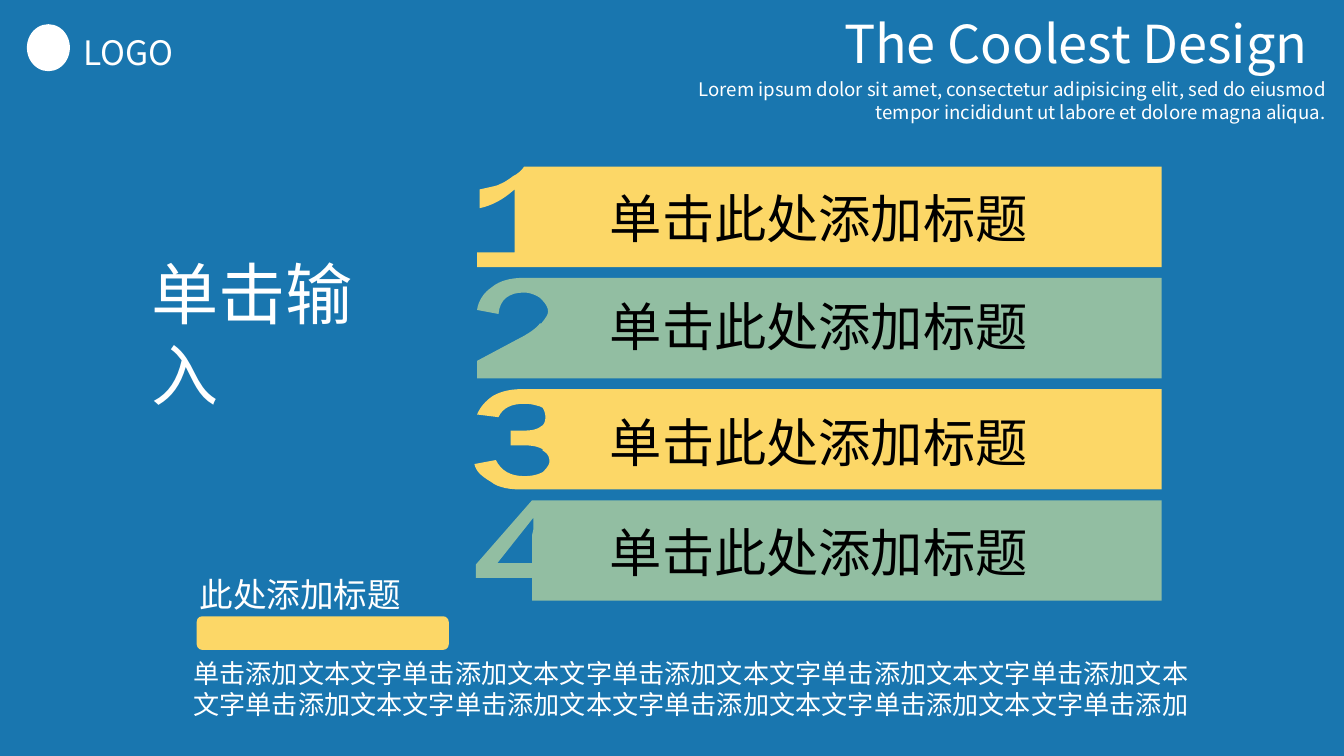
from lxml import etree
from pptx import Presentation
from pptx import util as u
from pptx.dml.color import RGBColor
from pptx.enum import shapes, text
from pptx.oxml.ns import qn

WIDTH = 10
HEIGHT = WIDTH * 9 / 16
FONT = "Noto Sans CJK SC"
COLORS = {"background": "1976AF", "yellow": "FCD767", "green": "92BEA2",
          "white": "FFFFFF", "black": "000000"}
BAR_TITLE = "单击此处添加标题"
LABEL_TOPS = [0.13, 0.1, 0.14, 0.13]  # shares of the bar height

# Digit edges from the top of a bar to its bottom, in units of 1/75 bar height.
# A pair is a corner; six numbers are a Bezier curve.
BAR_UNITS, BAR_RIGHT = 75, 513
DIGIT_EDGES = [
    [(37, 0), (36, 2, 33, 5, 29, 7), (25, 10, 22, 12, 19, 13),
     (18, 14, 13, 15, 4, 17), (4, 31), (13, 29, 21, 25, 30, 17),
     (30, 64), (2, 64), (2, 75)],
    [(48, 0), (38, 0), (27, 0, 19, 2, 13, 7), (7, 11, 3, 17, 2, 24), (18, 27),
     (19, 16, 26, 11, 37, 11), (42, 11, 46, 13, 49, 15), (50, 16),
     (53, 19, 55, 22, 55, 25), (55, 28, 53, 30, 50, 34), (49, 34),
     (46, 38, 40, 42, 32, 46), (2, 62), (2, 75)],
    [(37, 0), (29, 0, 21, 1, 14, 5), (8, 9, 4, 14, 2, 19), (18, 21),
     (21, 14, 28, 11, 37, 11), (43, 11, 45, 12, 49, 13), (51, 14),
     (52, 16, 53, 18, 53, 21), (53, 24, 52, 26, 51, 27), (48, 29),
     (44, 31, 40, 31, 35, 31), (27, 31), (27, 42), (37, 42),
     (43, 42, 48, 43, 51, 45), (51, 46), (55, 48, 56, 51, 56, 54),
     (56, 57, 53, 60, 51, 62), (47, 64, 43, 65, 37, 65),
     (27, 65, 20, 61, 16, 53), (0, 56), (1, 61, 5, 65, 12, 69),
     (18, 74, 27, 75, 37, 75)],
    [(43, 0), (1, 48), (1, 58), (43, 58), (43, 75)],
]
FOUR_HOLE = [(17, 47), (44, 13), (44, 21), (44, 23, 43, 25, 43, 27), (43, 47)]


def color(name):
    return RGBColor.from_string(COLORS[name])


def inches(box):
    return [u.Inches(length) for length in box]


def part(box, left, top, width, height):
    """Box at the given shares of another box."""
    x, y, w, h = box
    return x + left * w, y + top * h, width * w, height * h


def paint(shape, name):
    shape.fill.solid()
    shape.fill.fore_color.rgb = color(name)
    shape.line.fill.background()
    shape.shadow.inherit = False


def write(shape, wording, size, ink="white", wrap=True, **paragraph_format):
    frame = shape.text_frame
    frame_format = {"word_wrap": wrap, "auto_size": text.MSO_AUTO_SIZE.NONE,
                    "vertical_anchor": text.MSO_ANCHOR.TOP}
    for name, value in frame_format.items():
        setattr(frame, name, value)
    paragraph = frame.paragraphs[0]
    paragraph_format = {"alignment": text.PP_ALIGN.LEFT, "space_before": u.Pt(0),
                        **paragraph_format}
    for name, value in paragraph_format.items():
        setattr(paragraph, name, value)
    run = paragraph.add_run()
    run.text = wording
    for name, value in {"name": FONT, "size": u.Pt(size)}.items():
        setattr(run.font, name, value)
    run.font.color.rgb = color(ink)
    # East Asian typeface
    etree.SubElement(run._r.get_or_add_rPr(), qn("a:ea"), typeface=FONT)


def add_text(parent, box, *wording, **formats):
    shape = parent.add_textbox(*inches(box))
    write(shape, *wording, **formats)
    return shape


def add_block(slide, kind, box, fill):
    shape = slide.shapes.add_shape(kind, *inches(box))
    paint(shape, fill)
    return shape


def fill_placeholder(shape, box, *wording, **formats):
    shape.left, shape.top, shape.width, shape.height = inches(box)
    write(shape, *wording, **formats)


def trace(edge, steps=8, detail=100):
    """Points along an edge, with its curves split into short lines."""
    points = [edge[0]]
    for piece in edge[1:]:
        if len(piece) == 2:
            points.append(piece)
            continue
        corners = [points[-1], piece[:2], piece[2:4], piece[4:]]
        for step in range(1, steps + 1):
            t = step / steps
            weights = ((1 - t) ** 3, 3 * t * (1 - t) ** 2, 3 * t * t * (1 - t), t ** 3)
            points.append(tuple(sum(weight * corner[axis] for weight, corner
                                    in zip(weights, corners)) for axis in (0, 1)))
    return [(x * detail, y * detail) for x, y in points]


def add_header(slide, box):
    # Logo mark and name
    add_block(slide, shapes.MSO_SHAPE.OVAL, part(box, 0.02, 0.18, 0.032, 0.35), "white")
    add_text(slide.shapes, part(box, 0.052, 0.19, 0.097, 0.4), "LOGO", 18)
    # Title and subtitle
    title, subtitle = slide.placeholders
    fill_placeholder(title, part(box, 0.618, 0.03, 0.402, 0.57), "The Coolest Design", 28)
    fill_placeholder(subtitle, part(box, 0.492, 0.53, 0.504, 0.44),
                     "Lorem ipsum dolor sit amet, consectetur adipisicing elit, "
                     "sed do eiusmod tempor incididunt ut labore et dolore magna aliqua.",
                     10, alignment=text.PP_ALIGN.RIGHT)


def add_bar(slide, box, edge, holes, fill, label_top):
    left, top, width, height = box
    group = slide.shapes.add_group_shape()
    # Digit and bar in one outline
    outline = trace(edge + [(BAR_RIGHT, BAR_UNITS), (BAR_RIGHT, 0)])
    builder = group.shapes.build_freeform(
        *outline[0], scale=u.Inches(height) / BAR_UNITS / 100)
    builder.add_line_segments(outline[1:])
    for hole in map(trace, holes):
        builder.move_to(*hole[0])
        builder.add_line_segments(hole[1:])
    paint(builder.convert_to_shape(u.Inches(left), u.Inches(top)), fill)
    # Bar title
    label = add_text(group.shapes, part(box, 0.178, label_top, 0.767, 0.76),
                     BAR_TITLE, 28, ink="black")
    paint(label, fill)


def add_bar_list(slide, box, gap=0.08):
    left, top, width, height = box
    count = len(DIGIT_EDGES)
    bar_height = (height - gap * (count - 1)) / count
    for index, edge in enumerate(DIGIT_EDGES):
        bar = left, top + index * (bar_height + gap), width, bar_height
        holes = [FOUR_HOLE] if index == 3 else []
        add_bar(slide, bar, edge, holes, ("yellow", "green")[index % 2],
                LABEL_TOPS[index])


def add_footer(slide, box):
    # Running text, accent block and caption
    add_text(slide.shapes, part(box, 0, 0.575, 1, 0.425),
             "单击添加文本文字" * 9 + "单击添加", 14)
    add_block(slide, shapes.MSO_SHAPE.ROUNDED_RECTANGLE,
              part(box, 0.016, 0.385, 0.243, 0.187), "yellow")
    add_text(slide.shapes, part(box, 0.006, 0, 0.22, 0.41), "此处添加标题", 18,
             wrap=False, line_spacing=1.5)


def main():
    presentation = Presentation()
    presentation.slide_width, presentation.slide_height = inches((WIDTH, HEIGHT))
    slide = presentation.slides.add_slide(presentation.slide_layouts[0])
    slide.background.fill.solid()
    slide.background.fill.fore_color.rgb = color("background")

    page = (0, 0, WIDTH, HEIGHT)
    add_header(slide, (0, 0, WIDTH, 1))
    add_bar_list(slide, (3.53, 1.24, 5.11, 3.23))
    add_text(slide.shapes, part(page, 0.103, 0.325, 0.197, 0.23), "单击输入", 36)
    add_footer(slide, (1.34, 4.07, 7.72, 1.34))
    presentation.save("out.pptx")


if __name__ == "__main__":
    main()
